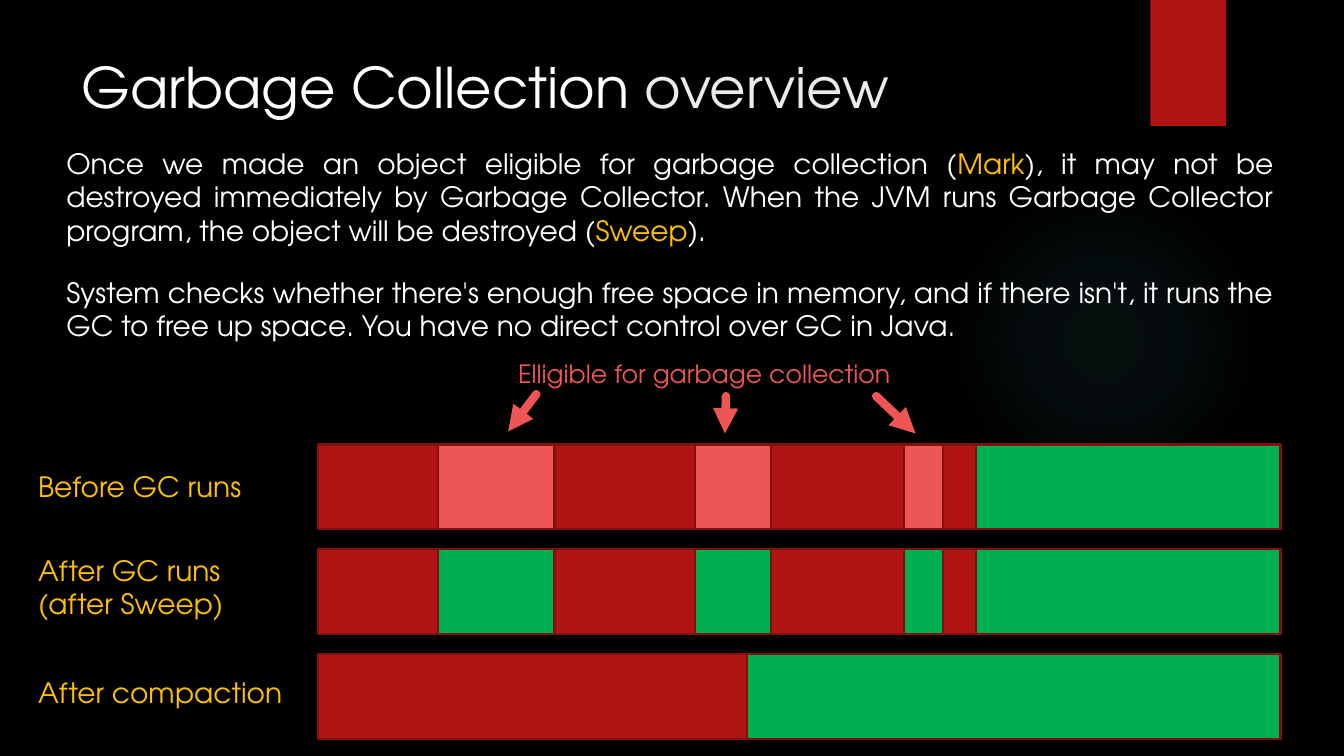
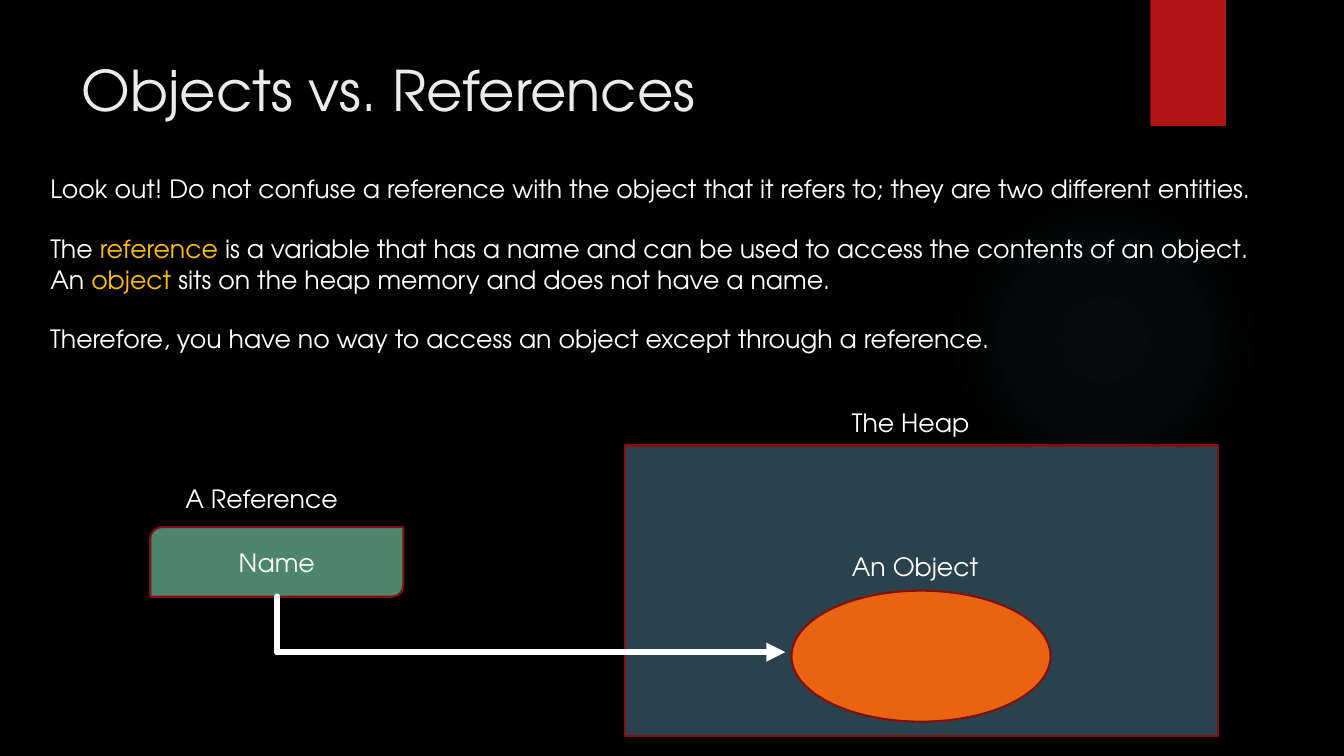
from lxml import etree
from pptx import Presentation
from pptx.dml.color import RGBColor
from pptx.enum.shapes import MSO_CONNECTOR, MSO_SHAPE
from pptx.enum.text import MSO_ANCHOR, MSO_AUTO_SIZE, PP_ALIGN
from pptx.oxml import parse_xml
from pptx.oxml.ns import nsdecls, qn
from pptx.util import Inches, Pt

FONT = "TeX Gyre Adventor"
HUES = {
    "black": "000000", "white": "FFFFFF", "pale": "EBEBEB", "gold": "FFC000",
    "red": "B01513", "edge": "82100E", "pink": "ED5654", "green": "00B050",
    "slate": "2A424D", "orange": "EA6312", "sage": "4B866D", "glow": "50B9C1",
}
RGB = {name: RGBColor.from_string(code) for name, code in HUES.items()}


def write(frame, lines, size, hue, accent="gold", align=PP_ALIGN.LEFT):
    """Fill a frame with paragraphs; words between asterisks take the accent."""
    frame.word_wrap = True
    for row, line in enumerate(lines):
        para = frame.add_paragraph() if row else frame.paragraphs[0]
        para.alignment = align
        for spot, part in enumerate(line.split("*")):
            if part:
                run = para.add_run()
                run.text = part
                run.font.name = FONT
                run.font.size = Pt(size)
                run.font.color.rgb = RGB[accent if spot % 2 else hue]


def block(slide, kind, at, fill, edge="edge"):
    shape = slide.shapes.add_shape(kind, *map(Inches, at))
    shape.shadow.inherit = False
    shape.fill.solid()
    shape.fill.fore_color.rgb = RGB[fill]
    if edge:
        shape.line.color.rgb = RGB[edge]
        shape.line.width = Pt(1.5)
    else:
        shape.line.fill.background()
    return shape


deck = Presentation()
deck.slide_width, deck.slide_height = Inches(13.33), Inches(7.5)
ground = deck.slide_master.background.fill
ground.solid()
ground.fore_color.rgb = RGB["black"]
plain = deck.slide_layouts.get_by_name("Title Only")

# Shared frame: glow, red tab and title
stops = "".join(
    f'<a:gs pos="{pos * 1000}"><a:srgbClr val="{HUES["glow"]}">'
    f'<a:alpha val="{alpha * 1000}"/></a:srgbClr></a:gs>'
    for pos, alpha in [(0, 7), (36, 6), (69, 0)]
)
slides = []
for text, top, high in [
    ("Garbage Collection *overview*", 0.47, 0.88),
    ("*Objects vs. References*", 0.5, 1.53),
]:
    slide = deck.slides.add_slide(plain)
    slides.append(slide)
    glow = block(slide, MSO_SHAPE.OVAL, (9.41, 1.83, 3.08, 3.08), "glow", None)
    props = glow.element.spPr
    props.replace(props.find(qn("a:solidFill")), parse_xml(
        f'<a:gradFill {nsdecls("a")}><a:gsLst>{stops}</a:gsLst><a:path path="circle">'
        '<a:fillToRect l="50000" t="50000" r="50000" b="50000"/></a:path></a:gradFill>'
    ))
    block(slide, MSO_SHAPE.RECTANGLE, (11.41, 0, 0.75, 1.25), "red", None)
    title = slide.shapes.title
    title.left, title.top = Inches(0.71), Inches(top)
    title.width, title.height = Inches(10.29), Inches(high)
    frame = title.text_frame
    frame.auto_size = MSO_AUTO_SIZE.NONE
    frame.vertical_anchor = MSO_ANCHOR.TOP
    write(frame, [text], 40, "white", "pale")
first, second = slides

# Memory bars: one row for each stage
LEFT, SPLIT, RIGHT = 3.15, 9.68, 12.7
TOP, STEP, HIGH = 4.41, 1.04, 0.84
HOLES = [(4.34, 1.16), (6.89, 0.76), (8.97, 0.38)]
for row, (start, holes, hole) in enumerate([
    (SPLIT, HOLES, "pink"), (SPLIT, HOLES, "green"), (7.41, [], None),
]):
    y = TOP + row * STEP
    bars = [(LEFT, SPLIT - LEFT, "red"), (start, RIGHT - start, "green")]
    bars += [(x, wide, hole) for x, wide in holes]
    for x, wide, fill in bars:
        block(first, MSO_SHAPE.RECTANGLE, (x, y, wide, HIGH), fill)

# Reference and heap
block(second, MSO_SHAPE.RECTANGLE, (6.2, 4.42, 5.88, 2.88), "slate")
block(second, MSO_SHAPE.OVAL, (7.85, 5.86, 2.57, 1.3), "orange")
name = block(second, MSO_SHAPE.ROUND_2_DIAG_RECTANGLE, (1.49, 5.23, 2.51, 0.69), "sage")
name.text_frame.vertical_anchor = MSO_ANCHOR.MIDDLE
write(name.text_frame, ["Name"], 18, "white", align=PP_ALIGN.CENTER)

# Text boxes
for slide, at, size, hue, align, lines in [
    (first, (0.56, 1.4, 12.17, 1.14), 20, "white", PP_ALIGN.JUSTIFY, [
        "Once we made an object eligible for garbage collection (*Mark*), it may not be "
        "destroyed immediately by Garbage Collector. When the JVM runs Garbage Collector "
        "program, the object will be destroyed (*Sweep*)."]),
    (first, (0.56, 2.68, 12.17, 0.92), 20, "white", PP_ALIGN.JUSTIFY, [
        "System checks whether there's enough free space in memory, and if there isn't, "
        "it runs the GC to free up space. You have no direct control over GC in Java."]),
    (first, (0.28, 4.61, 2.68, 0.42), 20, "gold", PP_ALIGN.LEFT, ["Before GC runs"]),
    (first, (0.28, 5.44, 2.68, 0.77), 20, "gold", PP_ALIGN.LEFT,
     ["After GC runs", "(after Sweep)"]),
    (first, (0.28, 6.65, 2.68, 0.42), 20, "gold", PP_ALIGN.LEFT, ["After compaction"]),
    (first, (5.04, 3.51, 4.05, 0.4), 18, "pink", PP_ALIGN.LEFT,
     ["Elligible for garbage collection"]),
    (second, (0.4, 1.67, 12.65, 1.31), 18, "white", PP_ALIGN.LEFT, [
        "Look out! Do not confuse a reference with the object that it refers to; "
        "they are two different entities.",
        "The *reference* is a variable that has a name and can be used to access "
        "the contents of an object.",
        "An *object* sits on the heap memory and does not have a name."]),
    (second, (0.4, 3.16, 10.14, 0.4), 18, "white", PP_ALIGN.LEFT,
     ["Therefore, you have no way to access an object except through a reference."]),
    (second, (1.74, 4.75, 2.19, 0.4), 18, "white", PP_ALIGN.LEFT, ["A Reference"]),
    (second, (8.35, 3.99, 2.19, 0.4), 18, "white", PP_ALIGN.LEFT, ["The Heap"]),
    (second, (8.35, 5.42, 2.19, 0.4), 18, "white", PP_ALIGN.LEFT, ["An Object"]),
]:
    frame = slide.shapes.add_textbox(*map(Inches, at)).text_frame
    write(frame, lines, size, hue, align=align)
    if len(lines) == 3:
        frame.paragraphs[1].space_before = Pt(21.6)

# Lines and arrows
for slide, ends, hue, width, head in [
    (first, (5.32, 3.91, 5.04, 4.28), "pink", 6, True),
    (first, (7.2, 3.93, 7.19, 4.3), "pink", 6, True),
    (first, (8.69, 3.93, 9.08, 4.3), "pink", 6, True),
    (second, (2.75, 5.92, 2.75, 6.47), "white", 4.5, False),
    (second, (2.75, 6.47, 7.79, 6.47), "white", 4.5, True),
]:
    link = slide.shapes.add_connector(MSO_CONNECTOR.STRAIGHT, *map(Inches, ends))
    link.line.color.rgb = RGB[hue]
    link.line.width = Pt(width)
    props = link.element.spPr
    line = props.find(qn("a:ln"))
    line.set("cap", "rnd")
    if head:
        etree.SubElement(line, qn("a:tailEnd"), type="triangle")
    etree.SubElement(props, qn("a:effectLst"))

deck.save("out.pptx")
